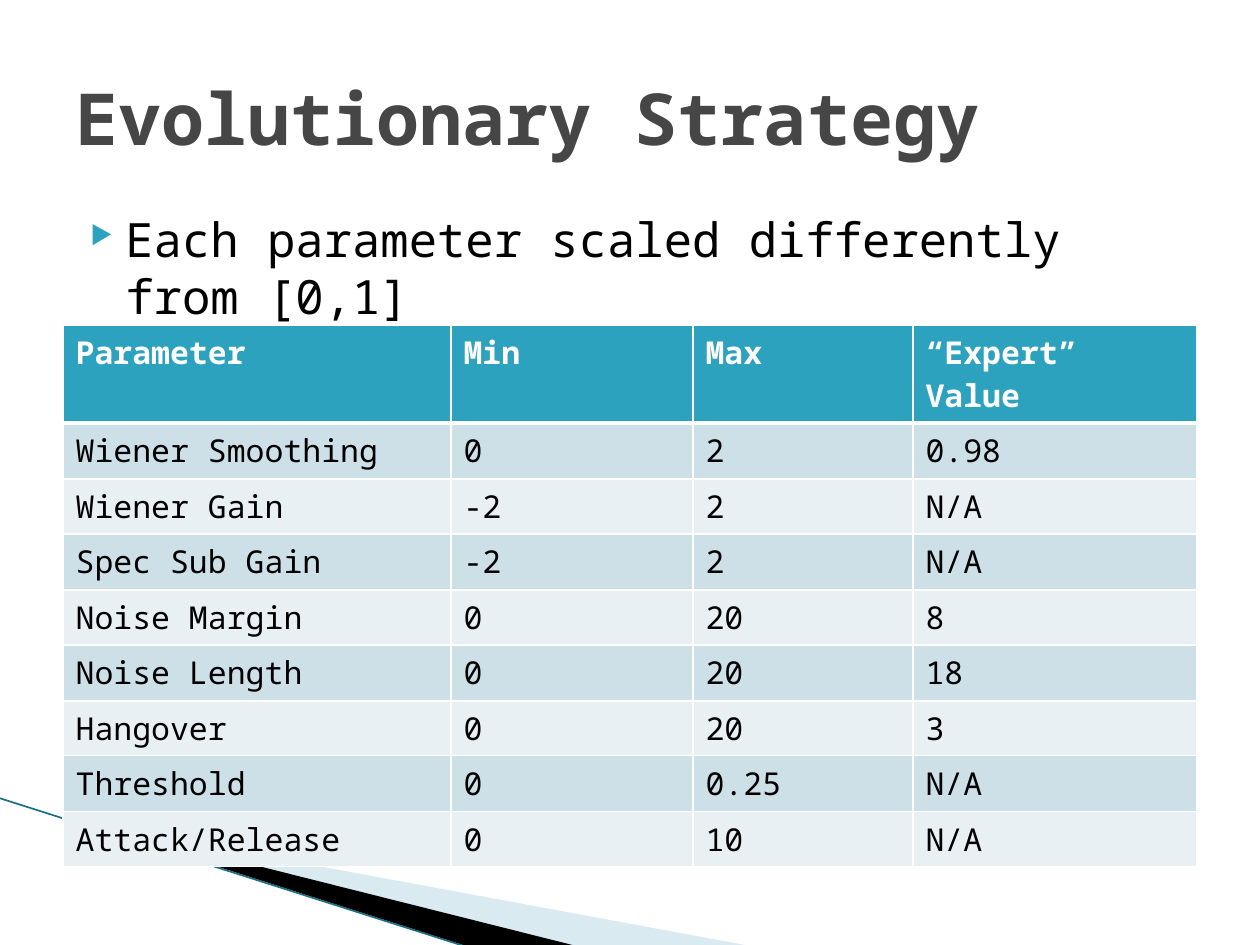
"""Build the Evolutionary Strategy slide with its parameter table."""
import pptx
import pptx.util
import pptx.dml.color
import pptx.enum.shapes
import pptx.enum.text
import pptx.oxml
import pptx.oxml.ns
import lxml.etree

PX = 914400 / 126
THEME = {
    "font": "Noto Sans Mono",
    "title": 41, "body": 27, "cell": 18,
    "heading": "464646", "text": "000000", "white": "FFFFFF",
    "accent": "2DA2BF", "bands": ("CDE0E8", "E8F0F4"),
    "pale": "A0CBDC", "black": "000000", "edge": "1B6F83",
}


def px(n):
    return pptx.util.Emu(round(n * PX))


def write(tf, text, size, color, bold=False):
    tf.word_wrap = True
    p = tf.paragraphs[0]
    r = p.add_run()
    r.text = text
    r.font.name = THEME["font"]
    r.font.size = pptx.util.Pt(size)
    r.font.bold = bold
    r.font.color.rgb = pptx.dml.color.RGBColor.from_string(color)
    return p


prs = pptx.Presentation()
prs.slide_width, prs.slide_height = px(1260), px(945)
s = prs.slides.add_slide(prs.slide_layouts[6])

wedges = [
    ([(69, 820), (750, 946), (575, 946), (69, 819)], THEME["pale"], 40),
    ([(67, 818), (576, 946), (469, 947), (68, 819)], THEME["black"], 100),
]
for points, color, opacity in wedges:
    builder = s.shapes.build_freeform(*points[0], scale=PX)
    builder.add_line_segments(points[1:], close=True)
    sp = builder.convert_to_shape()
    sp.shadow.inherit = False
    sp.fill.solid()
    sp.fill.fore_color.rgb = pptx.dml.color.RGBColor.from_string(color)
    sp.line.fill.background()
    if opacity < 100:
        clr = sp.fill._xPr.find(".//" + pptx.oxml.ns.qn("a:srgbClr"))
        lxml.etree.SubElement(clr, pptx.oxml.ns.qn("a:alpha"), val=str(opacity * 1000))

edge = s.shapes.add_connector(
    pptx.enum.shapes.MSO_CONNECTOR.STRAIGHT, px(-1), px(798), px(467), px(947))
edge.line.width = pptx.util.Pt(0.95)
edge.line.color.rgb = pptx.dml.color.RGBColor.from_string(THEME["edge"])
lxml.etree.SubElement(edge._element.spPr, pptx.oxml.ns.qn("a:effectLst"))

body = s.shapes.add_textbox(px(63), px(204), px(1134), px(624))
p = write(body.text_frame, "Each parameter scaled differently from [0,1]",
          THEME["body"], THEME["text"])
p.space_before = pptx.util.Pt(4)
pPr = p._p.get_or_add_pPr()
pPr.set("marL", str(px(50)))
pPr.set("indent", str(px(-35)))
bullet = lxml.etree.SubElement(pPr, pptx.oxml.ns.qn("a:buClr"))
lxml.etree.SubElement(bullet, pptx.oxml.ns.qn("a:srgbClr"), val=THEME["accent"])
lxml.etree.SubElement(pPr, pptx.oxml.ns.qn("a:buSzPct"), val="54000")
lxml.etree.SubElement(pPr, pptx.oxml.ns.qn("a:buChar"), char="▶")

title = s.shapes.add_textbox(px(63), px(38), px(1134), px(158))
title.text_frame.vertical_anchor = pptx.enum.text.MSO_ANCHOR.MIDDLE
write(title.text_frame, "Evolutionary Strategy", THEME["title"], THEME["heading"], bold=True)

rows = [
    ("Parameter", "Min", "Max", "“Expert” Value"),
    ("Wiener Smoothing", "0", "2", "0.98"),
    ("Wiener Gain", "-2", "2", "N/A"),
    ("Spec Sub Gain", "-2", "2", "N/A"),
    ("Noise Margin", "0", "20", "8"),
    ("Noise Length", "0", "20", "18"),
    ("Hangover", "0", "20", "3"),
    ("Threshold", "0", "0.25", "N/A"),
    ("Attack/Release", "0", "10", "N/A"),
]
widths = [388, 242, 220, 284]
heights = [98] + [56, 55] * 4
table = s.shapes.add_table(
    len(rows), len(widths), px(63), px(325), px(sum(widths)), px(sum(heights))).table
for column, width in zip(table.columns, widths):
    column.width = px(width)
for i, row in enumerate(rows):
    table.rows[i].height = px(heights[i])
    header = i == 0
    fill = THEME["accent"] if header else THEME["bands"][(i - 1) % 2]
    for j, text in enumerate(row):
        cell = table.cell(i, j)
        write(cell.text_frame, text, THEME["cell"],
              THEME["white"] if header else THEME["text"], bold=header)
        tcPr = cell._tc.get_or_add_tcPr()
        for side in ("lnL", "lnR", "lnT", "lnB"):
            thick = (header and side == "lnB") or (i == 1 and side == "lnT")
            ln = lxml.etree.SubElement(tcPr, pptx.oxml.ns.qn("a:" + side),
                                       w=str(pptx.util.Pt(3 if thick else 1)))
            solid = lxml.etree.SubElement(ln, pptx.oxml.ns.qn("a:solidFill"))
            lxml.etree.SubElement(solid, pptx.oxml.ns.qn("a:srgbClr"), val=THEME["white"])
        cell.fill.solid()
        cell.fill.fore_color.rgb = pptx.dml.color.RGBColor.from_string(fill)

prs.save("out.pptx")
